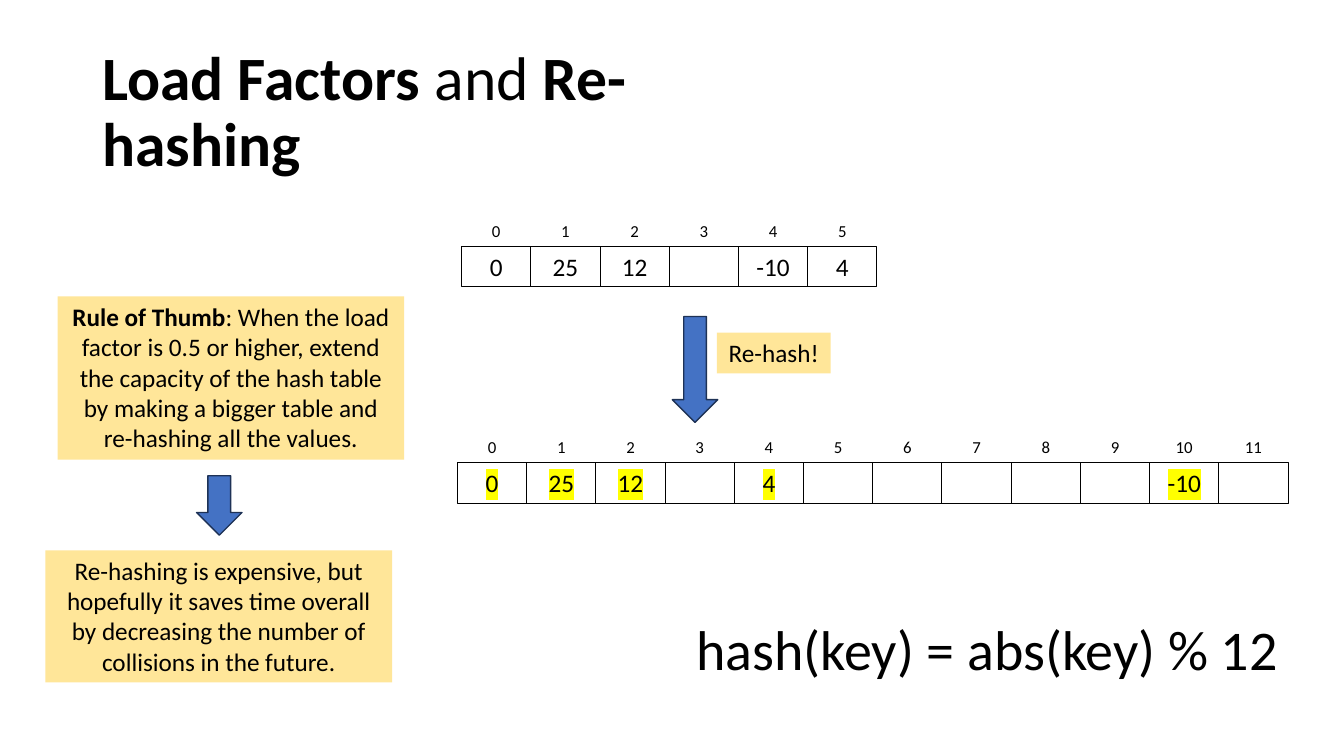
from dataclasses import dataclass

from lxml.etree import SubElement
from pptx import Presentation
from pptx.dml.color import RGBColor
from pptx.enum.shapes import MSO_SHAPE as Preset
from pptx.enum.text import MSO_ANCHOR as Anchor, MSO_AUTO_SIZE as AutoSize, PP_ALIGN as Align
from pptx.oxml.ns import qn
from pptx.shapes.autoshape import Shape
from pptx.shapes.shapetree import GroupShapes, SlideShapes
from pptx.util import Inches, Pt

COLORS = {
    "text": "000000",
    "note": "FFE699",
    "arrow": "4472C4",
    "arrow_edge": "1E3256",
    "highlight": "FFFF00",
}
FONT = "Calibri"
SLIDE_WIDTH = Inches(13.33)
SLIDE_HEIGHT = Inches(7.5)
CELL_WIDTH = 5.15
CELL_HEIGHT = 5.38
INDEX_HEIGHT = 4.04

Shapes = SlideShapes | GroupShapes


@dataclass(frozen=True)
class Area:
    """Shares of the slide's size, in percent."""

    left: float
    top: float
    width: float
    height: float

    def lengths(self) -> tuple[int, int, int, int]:
        return (
            round(SLIDE_WIDTH * self.left / 100),
            round(SLIDE_HEIGHT * self.top / 100),
            round(SLIDE_WIDTH * self.width / 100),
            round(SLIDE_HEIGHT * self.height / 100),
        )


@dataclass(frozen=True)
class Run:
    text: str
    bold: bool = False


@dataclass(frozen=True)
class HashTable:
    left: float
    top: float
    values: tuple[str, ...]
    highlight: str | None = None


@dataclass(frozen=True)
class Note:
    area: Area
    runs: tuple[Run, ...]


TITLE = (Run("Load Factors ", True), Run("and "), Run("Re-hashing", True))
HASH_TABLES = (
    HashTable(34.35, 32.55, ("0", "25", "12", "", "-10", "4")),
    HashTable(
        34.04,
        61.2,
        ("0", "25", "12", "", "4", "", "", "", "", "", "-10", ""),
        highlight="highlight",
    ),
)
NOTES = (
    Note(
        Area(4.28, 39.2, 25.8, 21.6),
        (
            Run("Rule of Thumb", True),
            Run(
                ": When the load factor is 0.5 or higher, extend the capacity of the "
                "hash table by making a bigger table and re-hashing all the values."
            ),
        ),
    ),
    Note(
        Area(3.38, 72.8, 25.8, 17.47),
        (
            Run(
                "Re-hashing is expensive, but hopefully it saves time overall by "
                "decreasing the number of collisions in the future."
            ),
        ),
    ),
    Note(Area(53.33, 44, 8.48, CELL_HEIGHT), (Run("Re-hash!"),)),
)
ARROWS = (Area(14.63, 62.93, 3.38, 7.87), Area(50.03, 41.87, 3.38, 14))


def color(name: str) -> RGBColor:
    return RGBColor.from_string(COLORS[name])


def write_text(
    shape: Shape,
    *runs: Run,
    size: float = 18,
    align: Align = Align.CENTER,
    anchor: Anchor = Anchor.TOP,
    wrap: bool = True,
    auto_size: AutoSize = AutoSize.SHAPE_TO_FIT_TEXT,
    line_spacing: float = 1.0,
    highlight: str | None = None,
) -> None:
    frame = shape.text_frame
    frame.word_wrap = wrap
    frame.auto_size = auto_size
    frame.vertical_anchor = anchor
    paragraph = frame.paragraphs[0]
    paragraph.alignment = align
    paragraph.line_spacing = line_spacing
    for item in runs:
        run = paragraph.add_run()
        run.text = item.text
        run.font.size = Pt(size)
        run.font.bold = item.bold
        run.font.color.rgb = color("text")
        if highlight:
            properties = run.font._element
            marker = SubElement(properties, qn("a:highlight"))
            SubElement(marker, qn("a:srgbClr"), val=COLORS[highlight])
        run.font.name = FONT


def add_preset(
    shapes: Shapes,
    preset: Preset,
    area: Area,
    fill: str | None = None,
    line: str | None = None,
    line_width: float = 1,
) -> Shape:
    shape = shapes.add_shape(preset, *area.lengths())
    shape.shadow.inherit = False
    if fill:
        shape.fill.solid()
        shape.fill.fore_color.rgb = color(fill)
    else:
        shape.fill.background()
    if line:
        shape.line.color.rgb = color(line)
        shape.line.width = Pt(line_width)
    else:
        shape.line.fill.background()
    return shape


def add_hash_table(shapes: Shapes, table: HashTable) -> None:
    for index, value in enumerate(table.values):
        left = table.left + index * CELL_WIDTH
        cell_shapes = shapes.add_group_shape().shapes
        cell_area = Area(left, table.top, CELL_WIDTH, CELL_HEIGHT)
        cell = add_preset(cell_shapes, Preset.RECTANGLE, cell_area, line="text", line_width=0.75)
        if value:
            write_text(cell, Run(value), highlight=table.highlight)
        index_area = Area(left, table.top - INDEX_HEIGHT, CELL_WIDTH, INDEX_HEIGHT)
        index_label = cell_shapes.add_textbox(*index_area.lengths())
        write_text(index_label, Run(str(index)), size=12)


def main() -> None:
    presentation = Presentation()
    presentation.slide_width = SLIDE_WIDTH
    presentation.slide_height = SLIDE_HEIGHT
    shapes = presentation.slides.add_slide(presentation.slide_layouts[6]).shapes

    title = shapes.add_textbox(*Area(6.88, 5.33, 55, 19.33).lengths())
    write_text(
        title,
        *TITLE,
        size=44,
        align=Align.LEFT,
        anchor=Anchor.MIDDLE,
        auto_size=AutoSize.NONE,
        line_spacing=0.9,
    )
    for table in HASH_TABLES:
        add_hash_table(shapes, table)
    for area in ARROWS:
        add_preset(shapes, Preset.DOWN_ARROW, area, fill="arrow", line="arrow_edge")
    for note in NOTES:
        write_text(add_preset(shapes, Preset.RECTANGLE, note.area, fill="note"), *note.runs)
    formula = shapes.add_textbox(*Area(51.08, 80.67, 45.15, 10.27).lengths())
    write_text(formula, Run("hash(key) = abs(key) % 12"), size=40, align=Align.LEFT, wrap=False)

    presentation.save("out.pptx")


if __name__ == "__main__":
    main()
